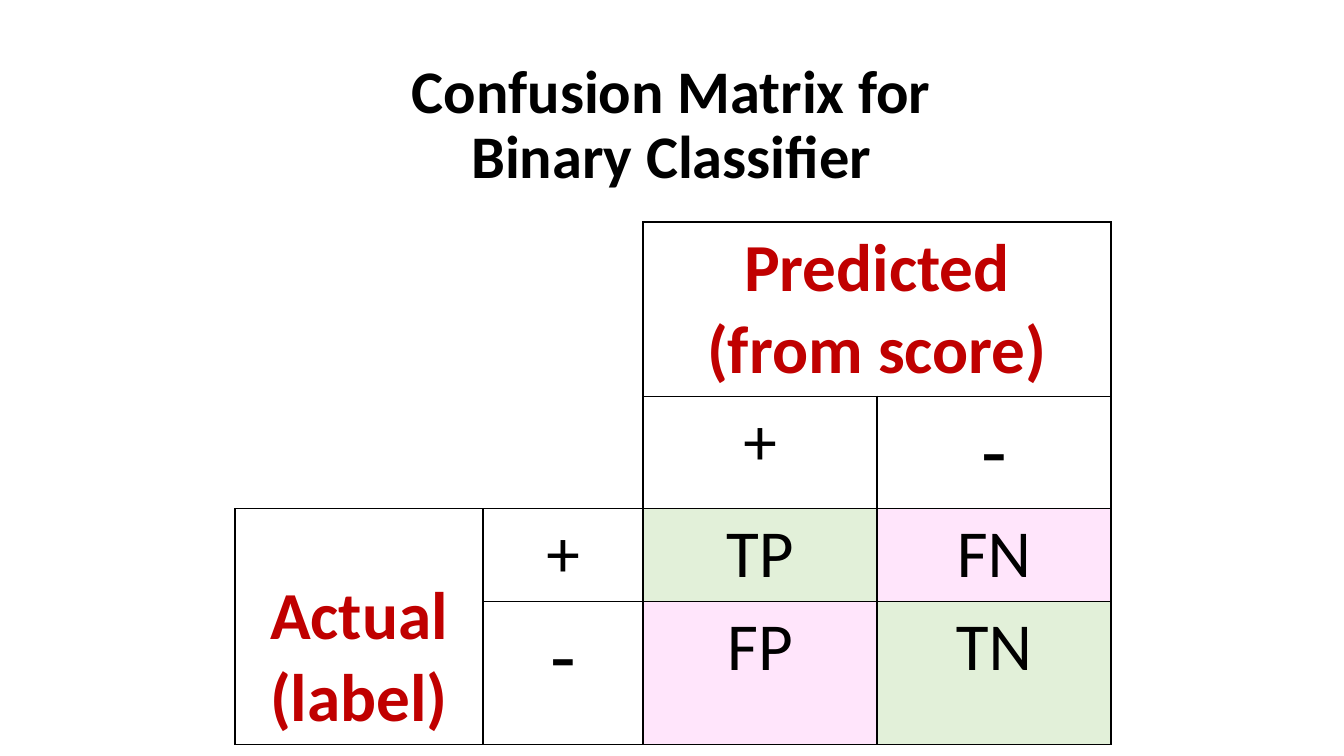
from dataclasses import dataclass
from typing import Optional

from lxml.etree import SubElement
from pptx import Presentation
from pptx.dml.color import RGBColor
from pptx.enum.text import MSO_ANCHOR, MSO_AUTO_SIZE, PP_ALIGN
from pptx.oxml.ns import qn
from pptx.slide import Slide
from pptx.table import Table, _Cell
from pptx.util import Emu, Pt

EMU_PER_PX = 914400 / 100.8
NO_GRID_STYLE = "{2D5ABB26-0587-4C30-8999-92F81FD0307C}"
COLUMN_WIDTHS = (248, 160, 234, 234)
ROW_HEIGHTS = (174, 112, 93, 143)
CORNER_SIZE = 2


@dataclass(frozen=True)
class Theme:
    font: str = "Calibri"
    ink: str = "000000"
    heading: str = "C00000"
    correct: str = "E2F0D9"
    wrong: str = "FFE5FB"
    title_size: float = 43.2
    label_size: float = 48
    minus_size: float = 60
    border_width: float = 1


THEME = Theme()


@dataclass(frozen=True)
class Entry:
    row: int
    column: int
    lines: tuple[str, ...]
    color: str = THEME.ink
    bold: bool = False
    size: float = THEME.label_size
    fill: Optional[str] = None
    rows: int = 1
    columns: int = 1
    anchor: MSO_ANCHOR = MSO_ANCHOR.TOP


ENTRIES = (
    Entry(0, 2, ("Predicted", "(from score)"), THEME.heading, True, columns=2),
    Entry(1, 2, ("+",)),
    Entry(1, 3, ("-",), size=THEME.minus_size),
    Entry(2, 0, ("Actual", "(label)"), THEME.heading, True, rows=2,
          anchor=MSO_ANCHOR.BOTTOM),
    Entry(2, 1, ("+",)),
    Entry(2, 2, ("TP",), fill=THEME.correct),
    Entry(2, 3, ("FN",), fill=THEME.wrong),
    Entry(3, 1, ("-",), size=THEME.minus_size),
    Entry(3, 2, ("FP",), fill=THEME.wrong),
    Entry(3, 3, ("TN",), fill=THEME.correct),
)


def px(length: int) -> Emu:
    return Emu(round(length * EMU_PER_PX))


def style_paragraph(paragraph, size: float, color: str, bold: bool) -> None:
    paragraph.alignment = PP_ALIGN.CENTER
    paragraph.font.name = THEME.font
    paragraph.font.size = Pt(size)
    paragraph.font.bold = bold
    paragraph.font.color.rgb = RGBColor.from_string(color)


def add_title(slide: Slide) -> None:
    title = slide.shapes.title
    title.left, title.top, title.width, title.height = map(px, (352, 53, 639, 147))
    frame = title.text_frame
    frame.text = "Confusion Matrix for Binary Classifier"
    frame.word_wrap = True
    frame.auto_size = MSO_AUTO_SIZE.NONE
    frame.vertical_anchor = MSO_ANCHOR.MIDDLE
    frame.paragraphs[0].line_spacing = 0.9
    style_paragraph(frame.paragraphs[0], THEME.title_size, THEME.ink, True)


def draw_borders(cell: _Cell, row: int, column: int) -> None:
    in_matrix = row >= CORNER_SIZE or column >= CORNER_SIZE
    visible = {
        "a:lnL": in_matrix,
        "a:lnR": in_matrix or column == CORNER_SIZE - 1,
        "a:lnT": in_matrix,
        "a:lnB": in_matrix or row == CORNER_SIZE - 1,
    }
    properties = cell._tc.get_or_add_tcPr()
    for side, drawn in visible.items():
        if drawn:
            border = SubElement(properties, qn(side), w=str(Pt(THEME.border_width)))
            solid = SubElement(border, qn("a:solidFill"))
            SubElement(solid, qn("a:srgbClr"), val=THEME.ink)


def fill_entry(matrix: Table, entry: Entry) -> None:
    cell = matrix.cell(entry.row, entry.column)
    if entry.rows > 1 or entry.columns > 1:
        cell.merge(matrix.cell(entry.row + entry.rows - 1,
                               entry.column + entry.columns - 1))
    cell.text = "\n".join(entry.lines)
    cell.vertical_anchor = entry.anchor
    for paragraph in cell.text_frame.paragraphs:
        style_paragraph(paragraph, entry.size, entry.color, entry.bold)
    if entry.fill:
        cell.fill.solid()
        cell.fill.fore_color.rgb = RGBColor.from_string(entry.fill)


def add_matrix(slide: Slide) -> None:
    matrix = slide.shapes.add_table(
        len(ROW_HEIGHTS), len(COLUMN_WIDTHS), px(235), px(222),
        px(sum(COLUMN_WIDTHS)), px(sum(ROW_HEIGHTS)),
    ).table
    matrix.first_row = False
    matrix.horz_banding = False
    matrix._tbl.tblPr.find(qn("a:tableStyleId")).text = NO_GRID_STYLE
    for column, width in zip(matrix.columns, COLUMN_WIDTHS):
        column.width = px(width)
    for row, height in zip(matrix.rows, ROW_HEIGHTS):
        row.height = px(height)
    for row_index, row in enumerate(matrix.rows):
        for column_index, cell in enumerate(row.cells):
            draw_borders(cell, row_index, column_index)
    for entry in ENTRIES:
        fill_entry(matrix, entry)


def main() -> None:
    presentation = Presentation()
    presentation.slide_width = px(1344)
    presentation.slide_height = px(756)
    slide = presentation.slides.add_slide(presentation.slide_layouts[5])
    add_title(slide)
    add_matrix(slide)
    presentation.save("out.pptx")


if __name__ == "__main__":
    main()
